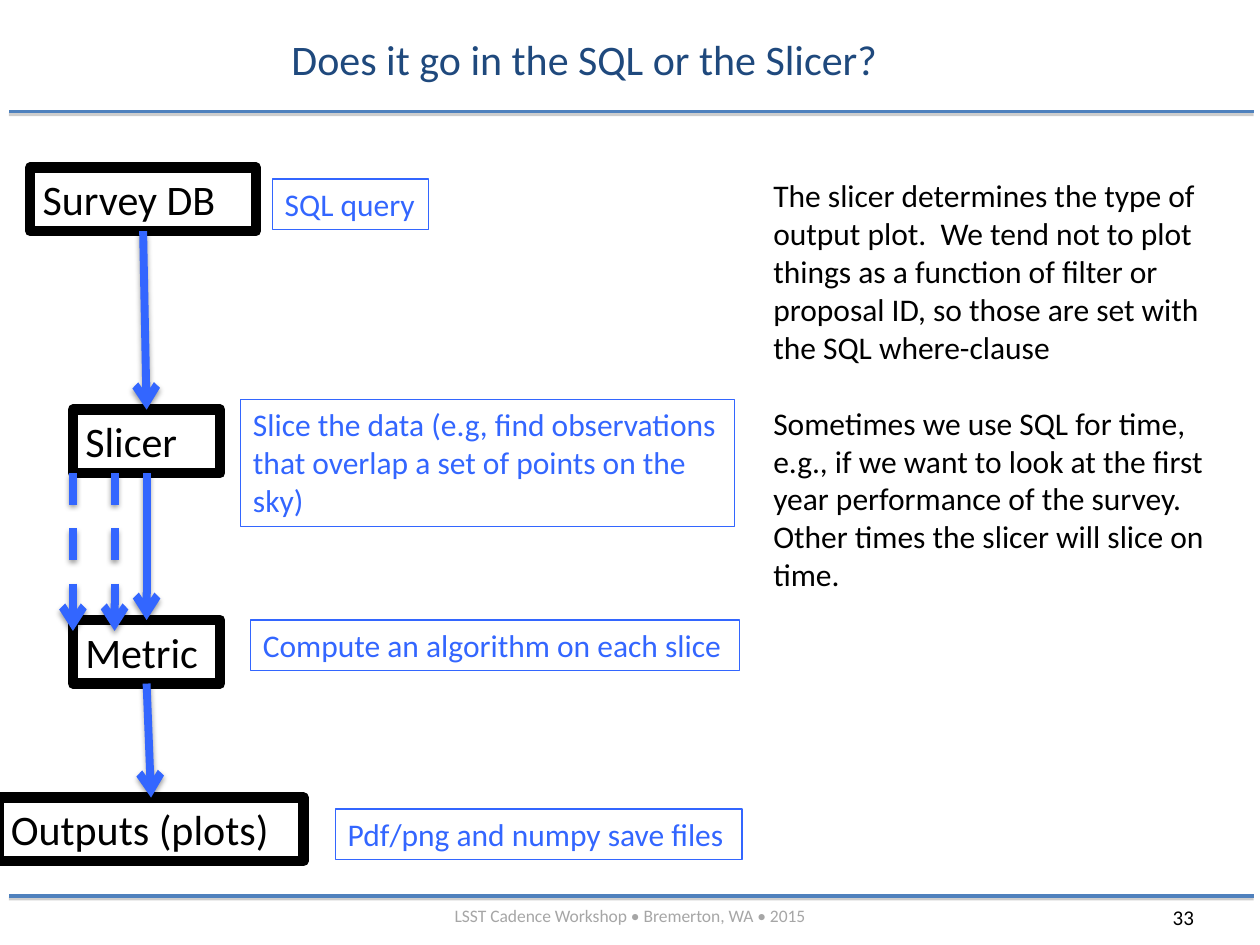
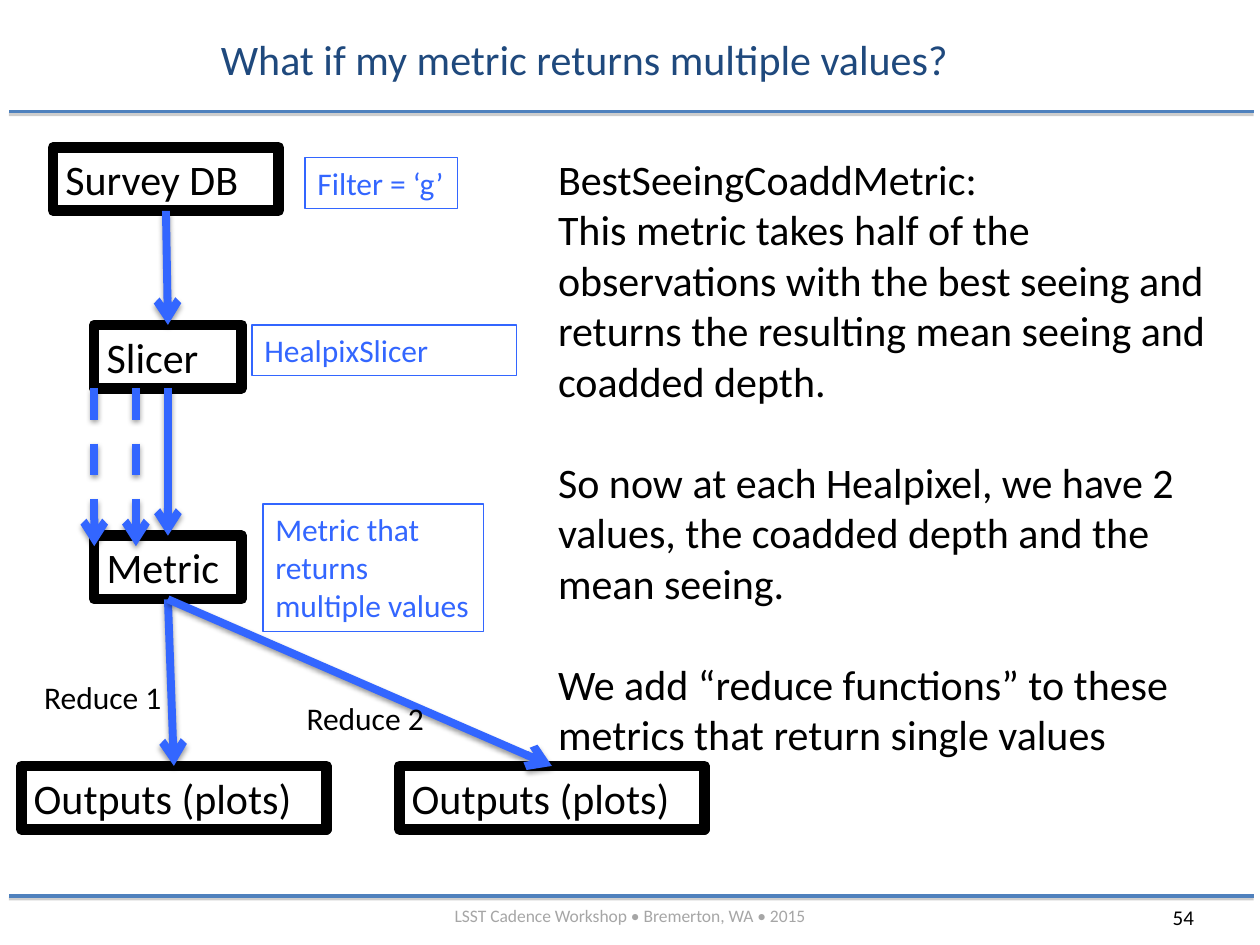
from lxml import etree
from pptx import Presentation
from pptx.dml.color import RGBColor
from pptx.enum.dml import MSO_LINE_DASH_STYLE as DASH
from pptx.enum.shapes import MSO_CONNECTOR_TYPE as CONNECTOR
from pptx.enum.text import MSO_ANCHOR, MSO_AUTO_SIZE, PP_ALIGN
from pptx.oxml.ns import qn
from pptx.util import Cm, Pt

FONT = "Calibri"
BLACK, BLUE, GREY = "000000", "3366FF", "A6A6A6"
TITLE_BLUE, RULE_BLUE = "1F497D", "4F81BD"
STAGE_HEIGHT = 1.28
BOTTOM, TOP = 2, 0

# Stages: name, left, top, width. Notes: text, left, top, width, height, wrap.
SLIDES = [
    {
        "title": "Does it go in the SQL or the Slicer?",
        "number": "33",
        "stages": [
            ("Survey DB", 0.61, 3.38, 4.55),
            ("Slicer", 1.47, 8.26, 2.97),
            ("Metric", 1.47, 12.5, 2.97),
            ("Outputs (plots)", -0.03, 16.08, 6.15),
        ],
        "flows": [(0, 1), (1, 2), (2, 3)],
        "notes": [
            ("SQL query", 5.49, 3.61, 3.15, 1.02, False),
            ("Slice the data (e.g, find observations that overlap a set of "
             "points on the sky)", 4.85, 8.05, 9.96, 2.57, True),
            ("Compute an algorithm on each slice", 5.05, 12.5, 9.86, 1.02, False),
            ("Pdf/png and numpy save files", 6.76, 16.31, 8.2, 1.02, False),
        ],
        "labels": [],
        "body_box": (15.34, 3.43, 9.65, 8.7),
        "body_size": 18,
        "body": [
            ["The slicer determines the type of output plot.  We tend not to "
             "plot things as a function of filter or proposal ID, so those are "
             "set with the SQL where-clause"],
            ["Sometimes we use SQL for time, e.g., if we want to look at the "
             "first year performance of the survey.  Other times the slicer "
             "will slice on time."],
        ],
    },
    {
        "title": "What if my metric returns multiple values?",
        "number": "54",
        "stages": [
            ("Survey DB", 1.07, 2.97, 4.55),
            ("Slicer", 1.9, 6.55, 2.97),
            ("Metric", 1.9, 10.8, 2.97),
            ("Outputs (plots)", 0.43, 15.44, 6.15),
            ("Outputs (plots)", 8.05, 15.44, 6.15),
        ],
        "flows": [(0, 1), (1, 2), (2, 3), (2, 4)],
        "notes": [
            ("Filter = ‘g’", 6.15, 3.18, 3.07, 1.02, False),
            ("HealpixSlicer", 5.08, 6.55, 5.33, 1.02, True),
            ("Metric that returns multiple values", 5.3, 10.16, 4.45, 2.57, True),
        ],
        "labels": [("Reduce 1", 0.64, 13.54), ("Reduce 2", 5.93, 13.97)],
        "body_box": (11, 2.97, 14.4, 12.57),
        "body_size": 24,
        "body": [
            ["BestSeeingCoaddMetric:",
             "This metric takes half of the observations with the best seeing "
             "and returns the resulting mean seeing and coadded depth."],
            ["So now at each Healpixel, we have 2 values, the coadded depth "
             "and the mean seeing."],
            ["We add “reduce functions” to these metrics that return single "
             "values"],
        ],
    },
]


def add_text(slide, blocks, box, size, colour=BLACK, border=None, wrap=True,
             align=PP_ALIGN.LEFT):
    """Add a text box; each block is a list of paragraphs, set one line apart."""
    shape = slide.shapes.add_textbox(*[Cm(length) for length in box])
    if border:
        shape.line.color.rgb = RGBColor.from_string(colour)
        shape.line.width = Pt(border)
    frame = shape.text_frame
    frame.word_wrap = wrap
    for block_index, block in enumerate(blocks):
        for line_index, text in enumerate(block):
            first = block_index == line_index == 0
            paragraph = frame.paragraphs[0] if first else frame.add_paragraph()
            paragraph.alignment = align
            if block_index and not line_index:
                paragraph.space_before = Pt(round(size * 1.22))
            run = paragraph.add_run()
            run.text = text
            run.font.name = FONT
            run.font.size = Pt(size)
            run.font.color.rgb = RGBColor.from_string(colour)
    return shape


def add_line(slide, points, colour, width, shadow, blur=0, arrow=False, dashed=False):
    """Add a straight line with a soft shadow below it; points are in EMU."""
    line = slide.shapes.add_connector(CONNECTOR.STRAIGHT, *points)
    line.line.color.rgb = RGBColor.from_string(colour)
    line.line.width = Pt(width)
    if dashed:
        line.line.dash_style = DASH.DASH
    properties = line._element.spPr
    if arrow:
        etree.SubElement(properties.find(qn("a:ln")), qn("a:tailEnd"), type="arrow")
    effects = etree.SubElement(properties, qn("a:effectLst"))
    outer = etree.SubElement(effects, qn("a:outerShdw"), blurRad=str(Pt(blur)),
                             dist=str(Pt(1.6)), dir="5400000", rotWithShape="0")
    shade = etree.SubElement(outer, qn("a:srgbClr"), val=shadow)
    etree.SubElement(shade, qn("a:alpha"), val="38000")
    return line


presentation = Presentation()
presentation.slide_width, presentation.slide_height = Cm(25.4), Cm(19.05)
title_only = presentation.slide_layouts[5]
arrow_style = {"colour": BLUE, "width": 4.5, "shadow": BLACK, "blur": 3.1, "arrow": True}

for content in SLIDES:
    slide = presentation.slides.add_slide(title_only)

    # Title, rules and footer
    title = slide.shapes.title
    title.left, title.top, title.width, title.height = Cm(3.18), Cm(0.41), Cm(17.2), Cm(1.55)
    title.text_frame.auto_size = MSO_AUTO_SIZE.NONE
    title.text_frame.vertical_anchor = MSO_ANCHOR.MIDDLE
    paragraph = title.text_frame.paragraphs[0]
    paragraph.alignment = PP_ALIGN.CENTER
    run = paragraph.add_run()
    run.text = content["title"]
    run.font.name = FONT
    run.font.size = Pt(24)
    run.font.color.rgb = RGBColor.from_string(TITLE_BLUE)
    for height in (2.25, 18.06):
        add_line(slide, (Cm(25.27), Cm(height), Cm(0.18), Cm(height)), RULE_BLUE, 2, "808080")
    add_text(slide, [[content["number"]]], (23.39, 18.11, 1.57, 0.76), 12)
    add_text(slide, [["LSST Cadence Workshop • Bremerton, WA • 2015"]],
             (1.27, 18.11, 22.86, 0.69), 10, GREY, align=PP_ALIGN.CENTER)

    # Explanation, stages and notes
    add_text(slide, content["body"], content["body_box"], content["body_size"])
    stages = [add_text(slide, [[name]], (left, top, width, STAGE_HEIGHT), 24, border=6)
              for name, left, top, width in content["stages"]]
    for text, left, top, width, height, wrap in content["notes"]:
        add_text(slide, [[text]], (left, top, width, height), 18, BLUE, 0.75, wrap)

    # Arrows between stages, and dashed ones for the further slices
    for start, end in content["flows"]:
        arrow = add_line(slide, (0, 0, 0, 0), **arrow_style)
        arrow.begin_connect(stages[start], BOTTOM)
        arrow.end_connect(stages[end], TOP)
    slicer = stages[1]
    slicer_bottom = slicer.top + slicer.height
    for offset in (0.84, 0):
        x = slicer.left + Cm(offset)
        add_line(slide, (x, slicer_bottom, x, slicer_bottom + Cm(3.18)),
                 dashed=True, **arrow_style)

    for text, left, top in content["labels"]:
        add_text(slide, [[text]], (left, top, 2.92, 1.02), 18, wrap=False)

presentation.save("out.pptx")
